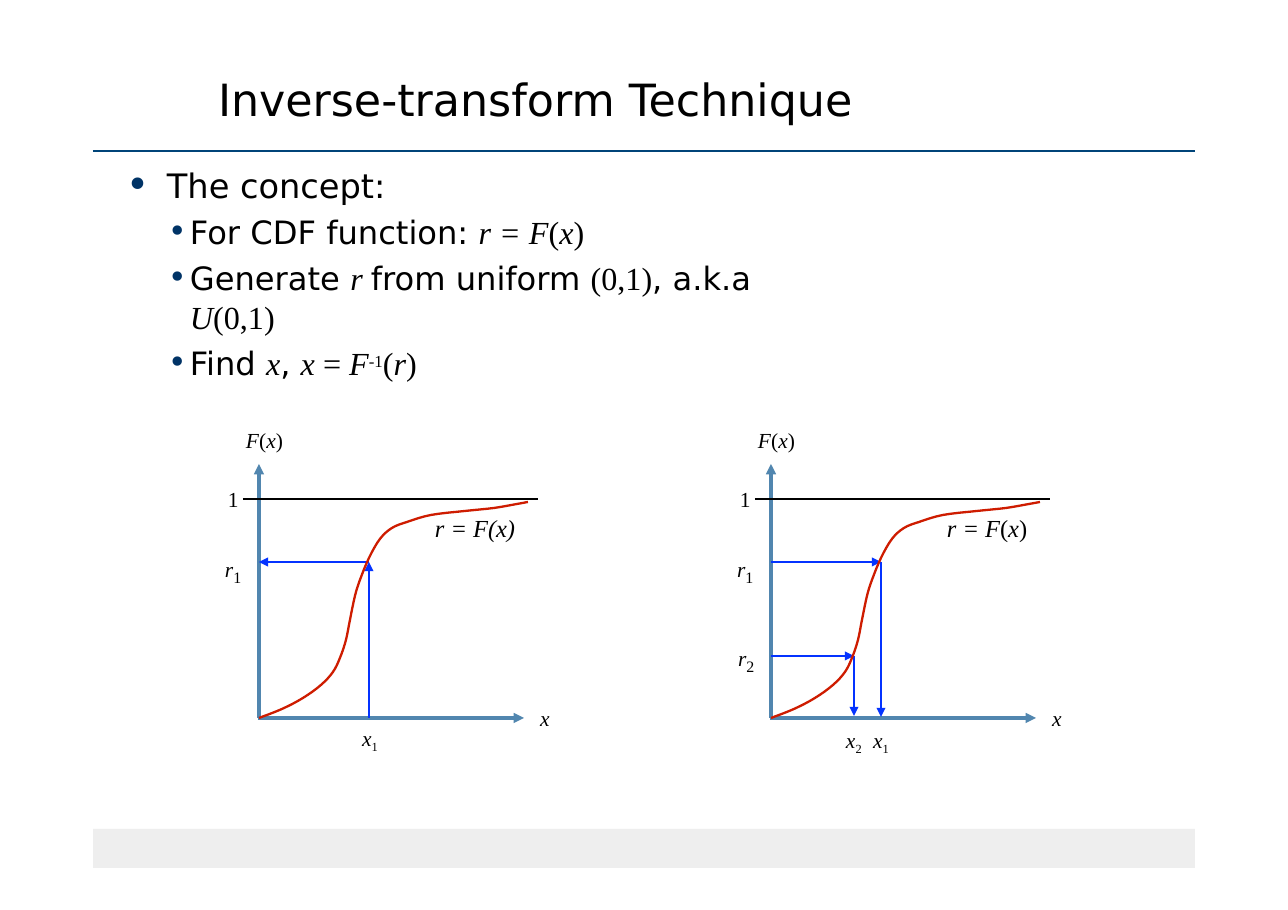
from dataclasses import dataclass
from lxml.etree import SubElement as Sub
from pptx import Presentation
from pptx.dml.color import RGBColor as Rgb
from pptx.enum.shapes import MSO_CONNECTOR as Conn, MSO_SHAPE as Kind
from pptx.oxml.ns import qn
from pptx.util import Pt


@dataclass(frozen=True)
class Theme:
    ink: str = "000000"
    rule: str = "004479"
    dot: str = "003366"
    bar: str = "EEEEEE"
    axis: str = "5186AF"
    ray: str = "0433FF"
    curve: str = "CE1C00"
    sans: str = "DejaVu Sans"
    serif: str = "Times New Roman"
    title: int = 29
    head: int = 22
    body: int = 21
    power: int = 19
    low: int = 18
    math: int = 16
    mark: int = 14


look = Theme()
PX = 8298
deck = Presentation()
deck.slide_width, deck.slide_height = 1288 * PX, 910 * PX
slide = deck.slides.add_slide(deck.slide_layouts[6])
shapes = slide.shapes


def draw(x1, y1, x2, y2, color, width, arrow=False):
    line = shapes.add_connector(Conn.STRAIGHT, x1 * PX, y1 * PX, x2 * PX, y2 * PX)
    line.line.color.rgb = Rgb.from_string(color)
    line.line.width = Pt(width)
    if arrow:
        Sub(line.line._get_or_add_ln(), qn("a:tailEnd"), type="triangle")
    Sub(line._element.spPr, qn("a:effectLst"))


def write(x, y, w, h, rows, wrap=False):
    frame = shapes.add_textbox(x * PX, y * PX, w * PX, h * PX).text_frame
    frame.word_wrap = wrap
    frame.margin_left = frame.margin_right = frame.margin_top = frame.margin_bottom = 0
    for n, row in enumerate(rows):
        para = frame.add_paragraph() if n else frame.paragraphs[0]
        for text, style, size, *base in row:
            run = para.add_run()
            run.text = text
            run.font.size = Pt(size)
            run.font.name = look.sans if style == "sans" else look.serif
            run.font.italic = style == "slant"
            run.font.color.rgb = Rgb.from_string(look.ink)
            if base:
                run.font._element.set("baseline", str(base[0] * 1000))
    return frame


bar = shapes.add_shape(Kind.RECTANGLE, 93 * PX, 829 * PX, 1102 * PX, 39 * PX)
bar.shadow.inherit = False
bar.fill.solid()
bar.fill.fore_color.rgb = Rgb.from_string(look.bar)
bar.line.fill.background()
draw(93, 151, 1195, 151, look.rule, 1)
write(218, 72, 770, 55, [[("Inverse-transform Technique", "sans", look.title)]])

size = look.body
rows = [
    [("The concept:", "sans", look.head)],
    [("For CDF function: ", "sans", size), ("r = F", "slant", size),
     ("(", "serif", size), ("x", "slant", size), (")", "serif", size)],
    [("Generate ", "sans", size), ("r ", "slant", size),
     ("from uniform ", "sans", size), ("(0,1)", "serif", size),
     (", a.k.a ", "sans", size), ("U", "slant", size), ("(0,1)", "serif", size)],
    [("Find ", "sans", size), ("x", "slant", size), (", ", "sans", size),
     ("x ", "slant", size), ("= ", "serif", size), ("F", "slant", size),
     ("-1", "serif", look.power, 26), ("(", "serif", size),
     ("r", "slant", size), (")", "serif", size)],
]
body = write(121, 165, 711, 218, rows, True)
gaps = [(46, -41, 5.8, 118), (69, -22, 4.4, 100), (69, -22, 5, 100), (69, -22, 5, 100)]
for para, (left, hang, space, scale) in zip(body.paragraphs, gaps):
    para.space_before = Pt(space)
    props = para._p.get_or_add_pPr()
    props.set("marL", str(left * PX))
    props.set("indent", str(hang * PX))
    Sub(Sub(props, qn("a:buClr")), qn("a:srgbClr"), val=look.dot)
    Sub(props, qn("a:buSzPct"), val=str(scale * 1000))
    Sub(props, qn("a:buFont"), typeface=look.sans)
    Sub(props, qn("a:buChar"), char="•")

knots = [(0, 0), (23, 9), (44, 20), (62, 33), (74, 46), (81, 60), (87, 78),
         (91, 98), (96, 122), (101, 138), (110, 160), (121, 179), (133, 190),
         (148, 196), (172, 203), (206, 207), (235, 210), (258, 214), (269, 216)]
ends = [knots[0], *knots, knots[-1]]
trace = []
for a, b, c, d in zip(ends, ends[1:], ends[2:], ends[3:]):
    for t in (0.25, 0.5, 0.75, 1):
        trace.append([
            q + t * (r - p) / 2 + t**2 * (2 * p - 5 * q + 4 * r - s) / 2
            + t**3 * (3 * q - p - 3 * r + s) / 2
            for p, q, r, s in zip(a, b, c, d)])

base, top, high, low = 718, 499, 562, 656
size = look.mark
func = [("F", "slant", size), ("(", "serif", size), ("x", "slant", size), (")", "serif", size)]
plots = [
    (259, [(110, high, 0, high), (110, base, 110, high)],
     [("r = F(x)", "slant", look.math)],
     [("r", "1", -34, 550, look.low), ("x", "1", 103, 725, size)]),
    (771, [(0, high, 110, high), (110, high, 110, 717),
           (0, low, 83, low), (83, low, 83, 716)],
     [("r = F", "slant", look.math), ("(", "serif", look.math),
      ("x", "slant", look.math), (")", "serif", look.math)],
     [("r", "1", -34, 550, look.low), ("r", "2", -33, 639, look.low),
      ("x", "2", 75, 727, size), ("x", "1", 102, 727, size)]),
]
for left, rays, rule, marks in plots:
    draw(left, base, left, 464, look.axis, 2.25, True)
    draw(left - 1, base, left + 265, base, look.axis, 2.25, True)
    for x1, y1, x2, y2 in rays:
        draw(left + x1, y1, left + x2, y2, look.ray, 0.75, True)
    path = shapes.build_freeform(left * PX, base * PX)
    path.add_line_segments(
        [(round((left + x) * PX), round((base - y) * PX)) for x, y in trace], close=False)
    curve = path.convert_to_shape()
    curve.shadow.inherit = False
    curve.fill.background()
    curve.line.color.rgb = Rgb.from_string(look.curve)
    curve.line.width = Pt(1.5)
    draw(left - 16, top, left + 279, top, look.ink, 0.75)
    write(left - 13, 427, 40, 26, [func])
    write(left - 31, 486, 13, 26, [[("1", "serif", size)]])
    write(left + 281, 705, 12, 26, [[("x", "slant", size)]])
    write(left + 176, 513, 84, 30, [rule])
    for name, sub, x, y, small in marks:
        drop = -21 if name == "r" else -22
        write(left + x, y, 22, 26, [[(name, "slant", size), (sub, "serif", small, drop)]])

deck.save("out.pptx")
